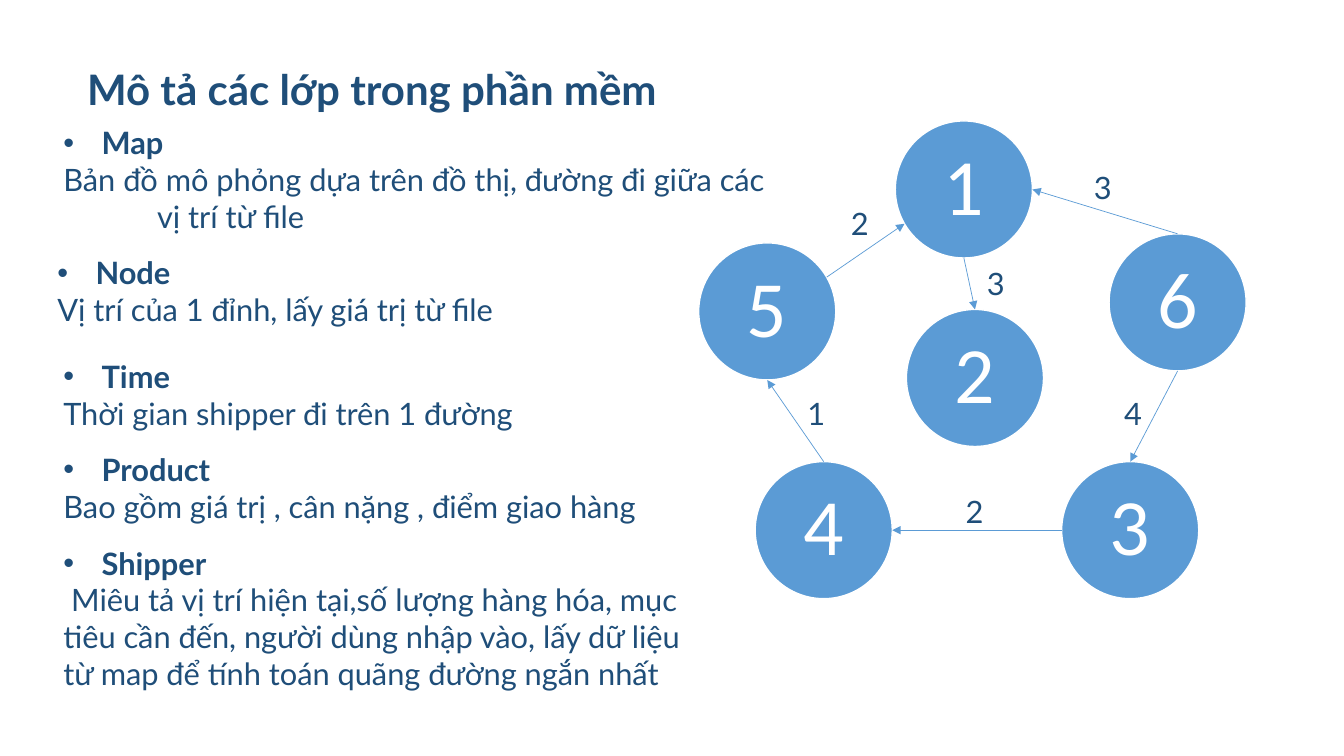
from math import cos, radians, sin

from lxml import etree
from pptx import Presentation
from pptx import util as u
from pptx.dml import color
from pptx.enum import shapes, text
from pptx.oxml import ns

NAVY, BLUE, WHITE = "1F4E79", "5B9BD5", "FFFFFF"
SIZE = 1.36  # diameter of a node

# number: centre of the node
NODES = {
    2: (9.67, 3.75), 1: (9.56, 1.88), 6: (11.68, 3.0),
    3: (11.21, 5.26), 4: (8.17, 5.26), 5: (7.61, 3.09),
}
# start, angle at start, end, angle at end (clockwise from the right),
# weight, left and top of the weight
EDGES = [
    (1, 90, 2, 270, 3, 9.69, 2.58), (5, -30, 1, 150, 2, 8.34, 1.98),
    (4, 270, 5, 90, 1, 7.91, 3.87), (3, 180, 4, 0, 2, 9.48, 4.84),
    (6, 90, 3, 270, 4, 11.05, 3.87), (6, 270, 1, 0, 3, 10.75, 1.62),
]
# heading, description, box, left indent, hang of the description
CLASSES = [
    ("Map", "Bản đồ mô phỏng dựa trên đồ thị, đường đi giữa các\vvị trí từ file",
     (0.53, 1.18, 7.84, 1.21), 0, 0.93),
    ("Node", "Vị trí của 1 đỉnh, lấy giá trị từ file",
     (-0.03, 2.47, 6.52, 0.84), 0.5, 0),
    ("Time", "Thời gian shipper đi trên 1 đường",
     (0.53, 3.5, 6.32, 0.84), 0, 0),
    ("Product", "Bao gồm giá trị , cân nặng , điểm giao hàng",
     (0.53, 4.42, 6.32, 0.84), 0, 0),
    ("Shipper", " Miêu tả vị trí hiện tại,số lượng hàng hóa, mục tiêu cần đến, "
     "người dùng nhập vào, lấy dữ liệu từ map để tính toán quãng đường ngắn nhất",
     (0.53, 5.35, 6.32, 1.95), 0, 0),
]


def rgb(code):
    """Turn a hex string into a colour."""
    return color.RGBColor.from_string(code)


def write(para, words, size=22, font="Lato", tint=NAVY, bold=False,
          align=None, left=0, hang=0, bullet=False):
    """Fill a paragraph with words in the given format."""
    para.text = words
    para.alignment = align
    for run in para.runs:
        run.font.size = u.Pt(size)
        run.font.name = font
        run.font.bold = bold
        run.font.color.rgb = rgb(tint)
    props = para._p.get_or_add_pPr()
    props.set("marL", str(u.Inches(left + hang)))
    props.set("indent", str(u.Inches(-hang)))
    if bullet:
        etree.SubElement(props, ns.qn("a:buFont"), typeface="Arial")
        etree.SubElement(props, ns.qn("a:buChar"), char="•")


def add_box(slide, box, wrap=True):
    """Add an empty text box and return its text frame."""
    frame = slide.shapes.add_textbox(*map(u.Inches, box)).text_frame
    frame.word_wrap = wrap
    return frame


def add_class(slide, name, about, box, left, hang):
    """Add a bulleted class name with its description below."""
    frame = add_box(slide, box)
    write(frame.paragraphs[0], name, bold=True, left=left, hang=0.38, bullet=True)
    write(frame.add_paragraph(), about, left=left, hang=hang)


def add_node(slide, number, x, y):
    """Add a numbered circle centred on x, y."""
    box = (x - SIZE / 2, y - SIZE / 2, SIZE, SIZE)
    node = slide.shapes.add_shape(shapes.MSO_SHAPE.OVAL, *map(u.Inches, box))
    node.shadow.inherit = False
    node.fill.solid()
    node.fill.fore_color.rgb = rgb(BLUE)
    node.line.color.rgb = rgb(WHITE)
    node.line.width = u.Pt(1)
    frame = node.text_frame
    frame.vertical_anchor = text.MSO_ANCHOR.MIDDLE
    para = frame.paragraphs[0]
    para.line_spacing = 0.9
    write(para, str(number), size=57, font="Calibri", tint=WHITE,
          align=text.PP_ALIGN.CENTER)


def find_rim(number, angle):
    """Return the point on a node's rim at an angle."""
    x, y = NODES[number]
    turn = radians(angle)
    return u.Inches(x + SIZE / 2 * cos(turn)), u.Inches(y + SIZE / 2 * sin(turn))


def add_edge(slide, start, leave, end, enter, weight, left, top):
    """Add an arrow between two nodes, with its weight."""
    edge = slide.shapes.add_connector(
        shapes.MSO_CONNECTOR.STRAIGHT,
        *find_rim(start, leave), *find_rim(end, enter))
    edge.line.color.rgb = rgb(BLUE)
    edge.line.width = u.Pt(0.5)
    etree.SubElement(edge.line._get_or_add_ln(), ns.qn("a:tailEnd"), type="triangle")
    etree.SubElement(edge._element.spPr, ns.qn("a:effectLst"))
    frame = add_box(slide, (left, top, 0.37, 0.47))
    write(frame.paragraphs[0], str(weight))


def main():
    """Build the slide and save it."""
    deck = Presentation()
    deck.slide_width, deck.slide_height = u.Inches(13.33), u.Inches(7.5)
    slide = deck.slides.add_slide(deck.slide_layouts[6])
    title = add_box(slide, (0.53, 0.58, 6.32, 0.61), wrap=False)
    write(title.paragraphs[0], "Mô tả các lớp trong phần mềm", size=30,
          bold=True, align=text.PP_ALIGN.CENTER)
    for item in CLASSES:
        add_class(slide, *item)
    for number, spot in NODES.items():
        add_node(slide, number, *spot)
    for edge in EDGES:
        add_edge(slide, *edge)
    deck.save("out.pptx")


main()
